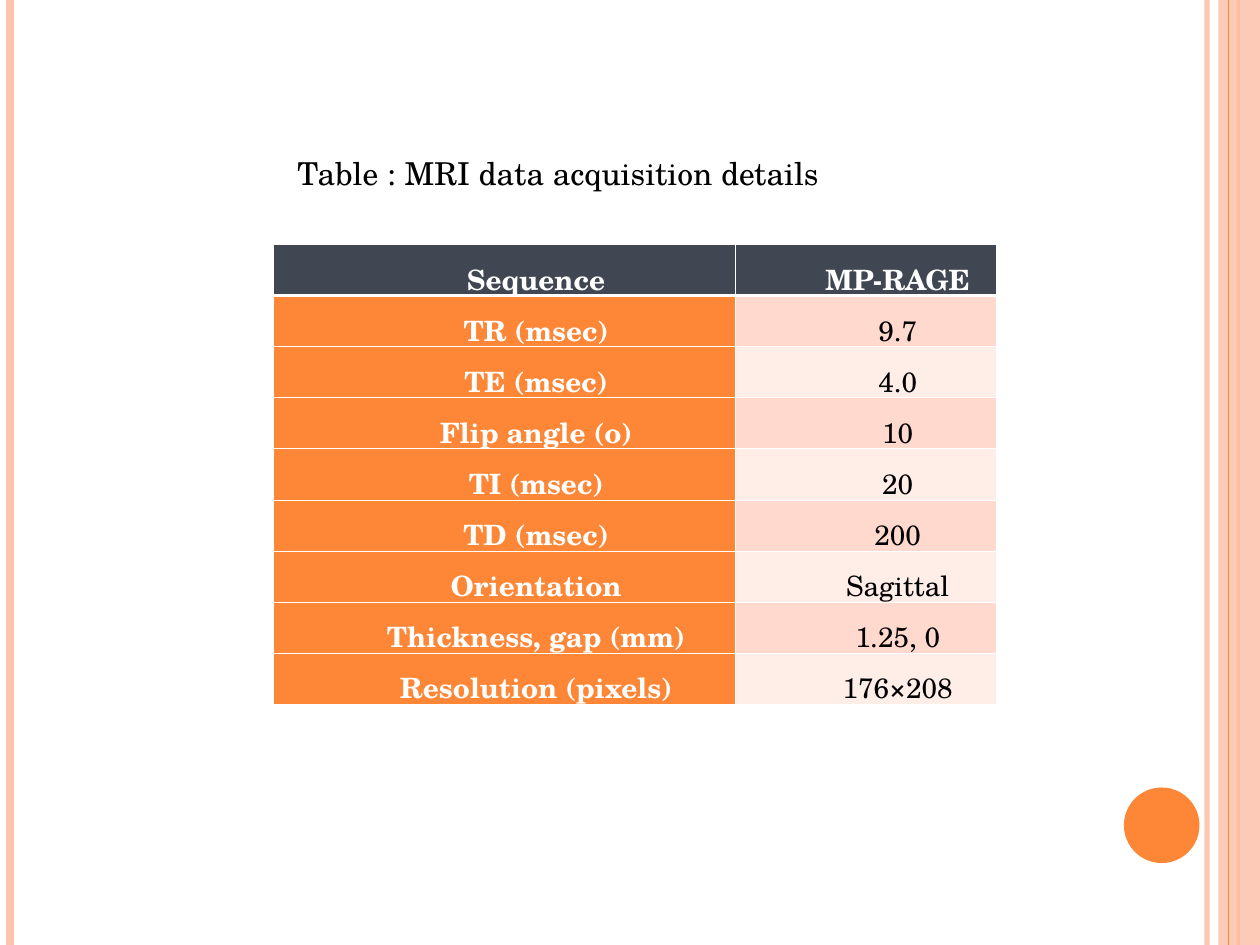
from pptx import Presentation
from pptx.dml.color import RGBColor
from pptx.enum.shapes import MSO_CONNECTOR, MSO_SHAPE
from pptx.enum.text import MSO_ANCHOR, MSO_AUTO_SIZE, PP_ALIGN
from pptx.oxml.ns import qn
from pptx.util import Inches, Pt
from lxml.etree import SubElement

SLIDE_W, SLIDE_H = 10, 7.5
FONT = "TeX Gyre Schola"
ORANGE, PEACH, SLATE, WHITE, BLACK = "FE8637", "FEC3AE", "414752", "FFFFFF", "000000"
BANDS = ("FFD9CE", "FFEDE8")

CAPTION = "Table : MRI data acquisition details"
ACQUISITION = [
    ("Sequence", "MP-RAGE"),
    ("TR (msec)", "9.7"),
    ("TE (msec)", "4.0"),
    ("Flip angle (o)", "10"),
    ("TI (msec)", "20"),
    ("TD (msec)", "200"),
    ("Orientation", "Sagittal"),
    ("Thickness, gap (mm)", "1.25, 0"),
    ("Resolution (pixels)", "176×208"),
]
COLUMN_WIDTHS = (3.67, 2.07)
TABLE_HEIGHT = 3.65
BOTTOM_MARGIN = -0.04  # lets the tall line spacing fit in the low rows
THIN, THICK = 0.45, 1.47

# x, colour, width in points, opacity in percent
STRIPES_BELOW_BAND = [(9.58, PEACH, 3, 93), (0.08, PEACH, 4.5, 100), (9.83, ORANGE, 1.5, 100)]
STRIPES_ABOVE_BAND = [(9.75, ORANGE, 0.75, 100)]


def rgb(colour):
    return RGBColor.from_string(colour)


def set_opacity(parent, percent):
    """Make the solid colour found inside an XML element partly transparent."""
    if percent < 100:
        colour = next(parent.iter(qn("a:srgbClr")))
        SubElement(colour, qn("a:alpha"), val=str(percent * 1000))


def add_stripe(shapes, x, colour, width, opacity):
    stripe = shapes.add_connector(
        MSO_CONNECTOR.STRAIGHT, Inches(x), 0, Inches(x), Inches(SLIDE_H))
    stripe.line.color.rgb = rgb(colour)
    stripe.line.width = Pt(width)
    properties = stripe._element.spPr
    set_opacity(properties, opacity)
    SubElement(properties, qn("a:effectLst"))


def add_plain_shape(shapes, preset, box, colour, opacity=100):
    shape = shapes.add_shape(preset, *map(Inches, box))
    shape.shadow.inherit = False
    shape.fill.solid()
    shape.fill.fore_color.rgb = rgb(colour)
    set_opacity(shape._element.spPr, opacity)
    shape.line.fill.background()


def write(frame, text, size, colour=BLACK, bold=False, align=PP_ALIGN.LEFT,
          spacing=1.0, indent=0):
    paragraph = frame.paragraphs[0]
    paragraph.alignment = align
    paragraph.line_spacing = spacing
    paragraph.space_before = Pt(0)
    paragraph._p.get_or_add_pPr().set("marL", str(Inches(indent)))
    run = paragraph.add_run()
    run.text = text
    run.font.name = FONT
    run.font.size = Pt(size)
    run.font.bold = bold
    run.font.color.rgb = rgb(colour)


def add_borders(cell, **widths):
    properties = cell._tc.get_or_add_tcPr()
    for index, side in enumerate("LRTB"):
        border = properties.makeelement(
            qn(f"a:ln{side}"), {"w": str(Pt(widths.get(side, THIN)))})
        SubElement(SubElement(border, qn("a:solidFill")), qn("a:srgbClr"), val=WHITE)
        properties.insert(index, border)


def cell_fill(row, column):
    if row == 0:
        return SLATE
    return ORANGE if column == 0 else BANDS[(row - 1) % len(BANDS)]


def add_acquisition_table(shapes):
    table = shapes.add_table(
        len(ACQUISITION), len(COLUMN_WIDTHS), Inches(2.17), Inches(1.94),
        Inches(sum(COLUMN_WIDTHS)), Inches(TABLE_HEIGHT)).table
    for column, width in zip(table.columns, COLUMN_WIDTHS):
        column.width = Inches(width)
    for r, record in enumerate(ACQUISITION):
        table.rows[r].height = Inches(TABLE_HEIGHT / len(ACQUISITION))
        for c, text in enumerate(record):
            cell = table.cell(r, c)
            cell.vertical_anchor = MSO_ANCHOR.MIDDLE
            cell.margin_left = cell.margin_right = Inches(0.08)
            cell.margin_bottom = Inches(BOTTOM_MARGIN)
            cell.fill.solid()
            cell.fill.fore_color.rgb = rgb(cell_fill(r, c))
            add_borders(cell, T=THICK if r == 1 else THIN, B=THICK if r == 0 else THIN)
            heading = r == 0 or c == 0
            write(cell.text_frame, text, 16, colour=WHITE if heading else BLACK,
                  bold=heading, align=PP_ALIGN.CENTER, spacing=1.15, indent=0.5)


def place_caption(title):
    title.left, title.top, title.width, title.height = map(Inches, (2.26, 1.17, 4.42, 0.4))
    frame = title.text_frame
    frame.word_wrap = True
    frame.auto_size = MSO_AUTO_SIZE.NONE
    frame.vertical_anchor = MSO_ANCHOR.TOP
    write(frame, CAPTION, 18)


def main():
    deck = Presentation()
    deck.slide_width, deck.slide_height = Inches(SLIDE_W), Inches(SLIDE_H)
    slide = deck.slides.add_slide(deck.slide_layouts[5])
    shapes = slide.shapes
    for stripe in STRIPES_BELOW_BAND:
        add_stripe(shapes, *stripe)
    add_plain_shape(shapes, MSO_SHAPE.RECTANGLE, (9.67, 0, 0.33, SLIDE_H), PEACH, opacity=87)
    for stripe in STRIPES_ABOVE_BAND:
        add_stripe(shapes, *stripe)
    add_plain_shape(shapes, MSO_SHAPE.OVAL, (8.92, 6.25, 0.6, 0.6), ORANGE)
    place_caption(shapes.title)
    add_acquisition_table(shapes)
    deck.save("out.pptx")


if __name__ == "__main__":
    main()
